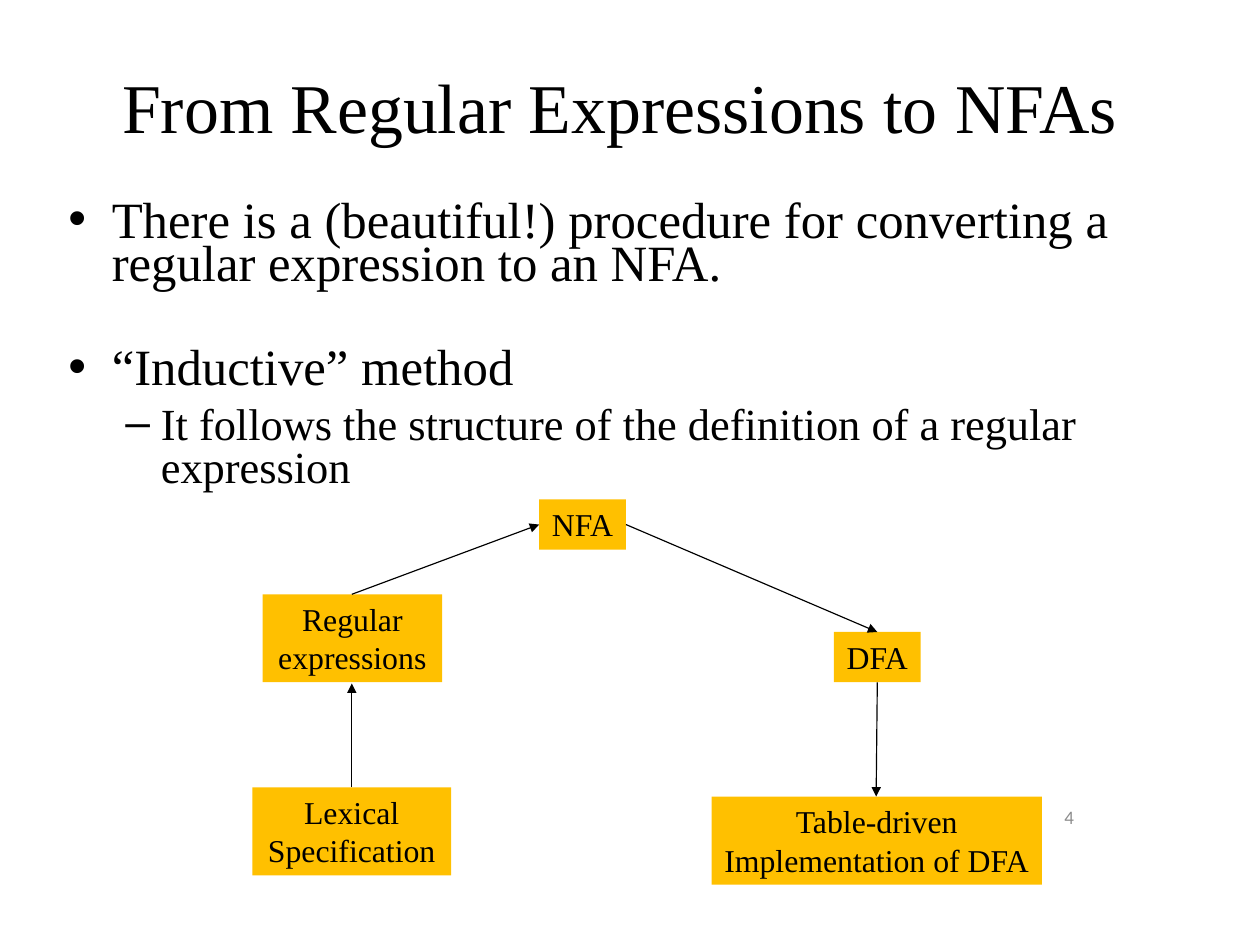
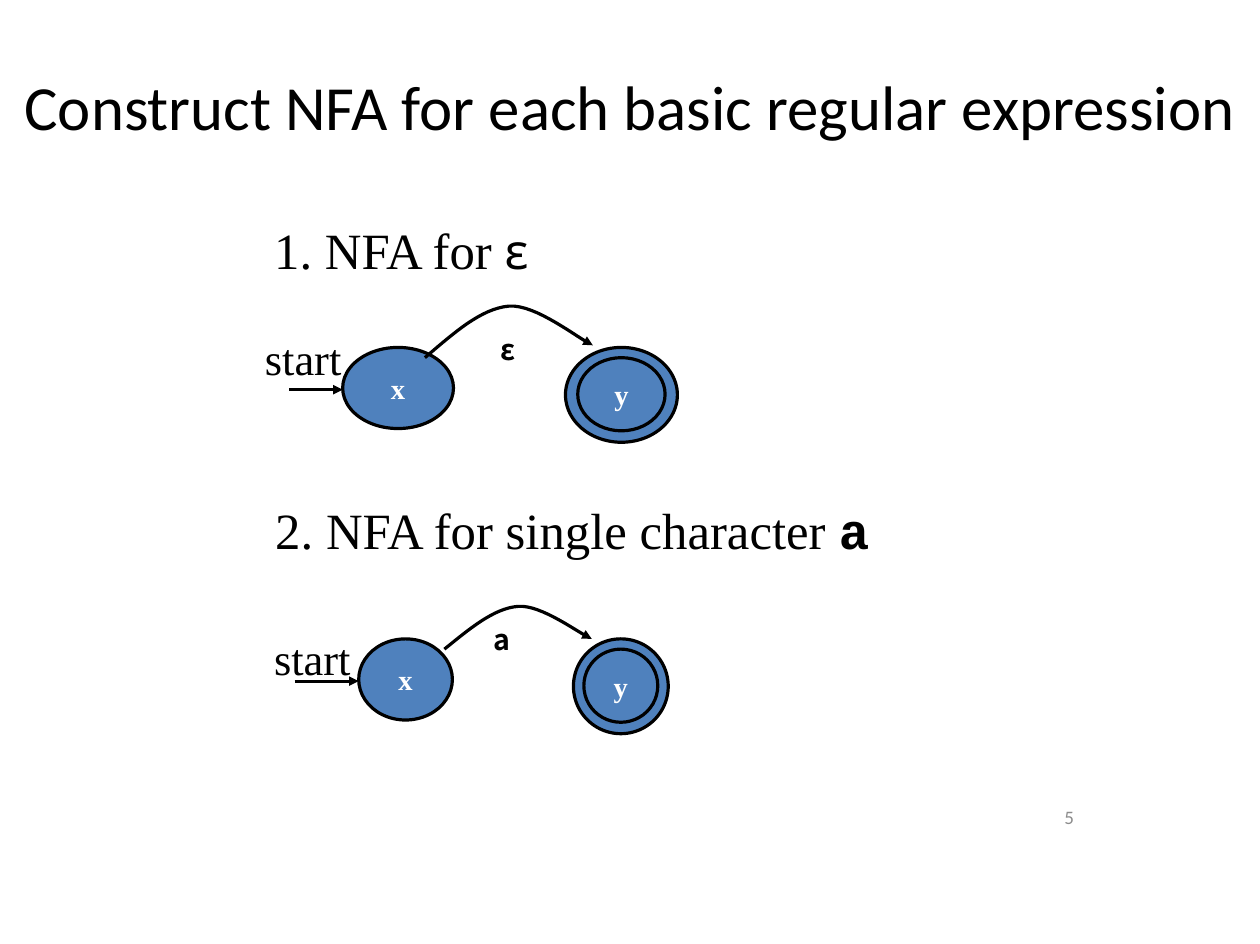
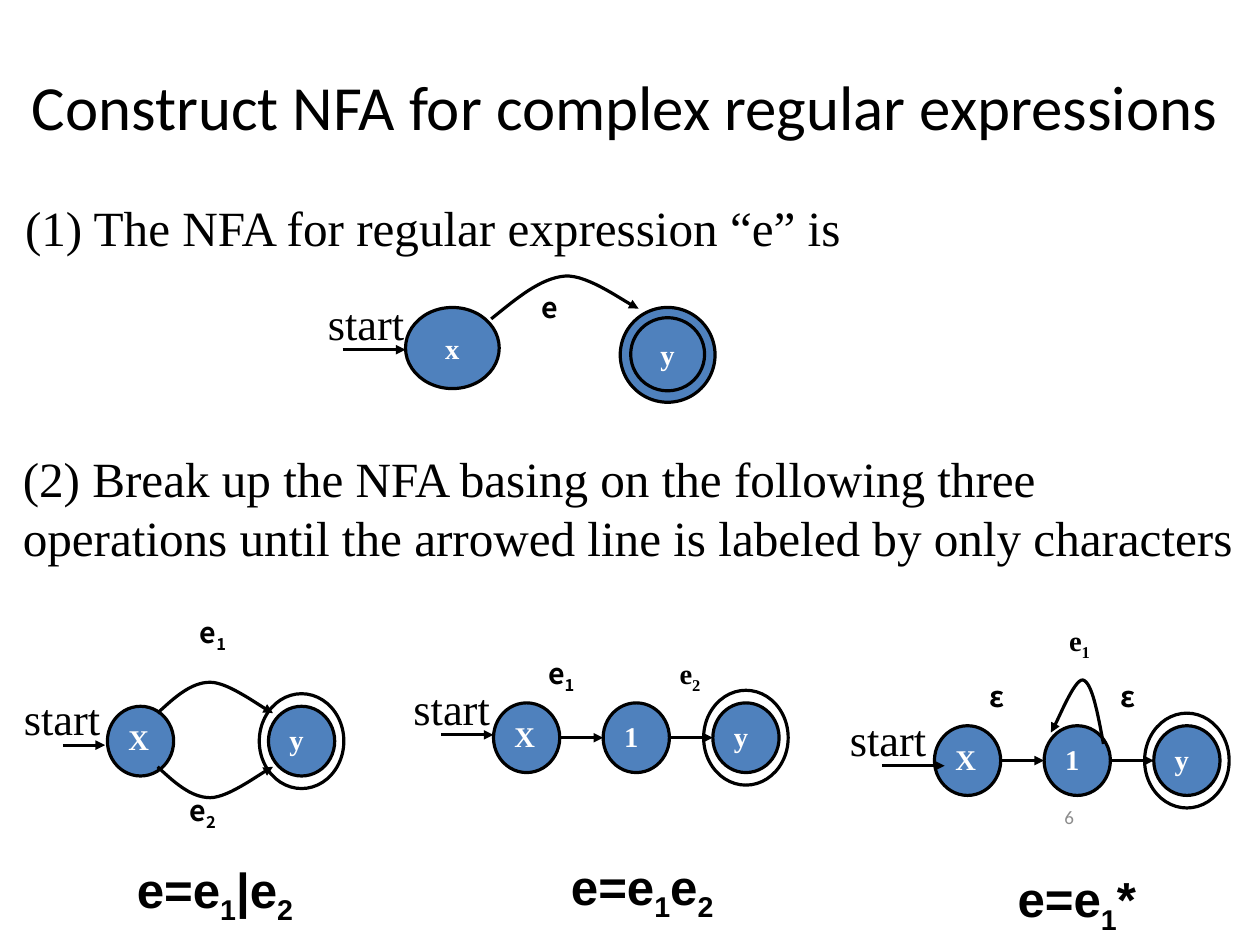
from collections import namedtuple
from dataclasses import dataclass

from lxml.etree import SubElement
from pptx import Presentation
from pptx.dml.color import RGBColor
from pptx.enum.shapes import MSO_CONNECTOR, MSO_SHAPE
from pptx.enum.text import MSO_ANCHOR, PP_ALIGN
from pptx.oxml.ns import qn
from pptx.util import Inches, Pt

Style = namedtuple("Style", "font size bold color", defaults=(False, "000000"))


@dataclass
class Theme:
    ink: str = "000000"
    state_fill: str = "4F81BD"
    box_fill: str = "FFC000"
    serif_title: Style = Style("Times New Roman", 44)
    title: Style = Style("Calibri", 39.6)
    number: Style = Style("Calibri", 12, False, "8C8C8C")
    body: Style = Style("Times New Roman", 32)
    detail: Style = Style("Times New Roman", 28)
    box: Style = Style("Times New Roman", 20)
    point: Style = Style("Times New Roman", 31)
    epsilon: Style = Style("Comic Neue", 31)
    code: Style = Style("Courier New", 32, True)
    state: Style = Style("Times New Roman", 18, True, "FFFFFF")
    label: Style = Style("Noto Sans CJK SC", 18, True)
    serif_label: Style = Style("Times New Roman", 18, True)
    formula: Style = Style("Arial", 31, True)


theme = Theme()


def write(shape, paragraphs, align=PP_ALIGN.LEFT, anchor=MSO_ANCHOR.TOP,
          wrap=True, insets=(0.1, 0.05, 0.1, 0.05)):
    """Fill a shape with paragraphs of (text, style) runs; _ lowers the next character."""
    frame = shape.text_frame
    frame.word_wrap = wrap
    frame.vertical_anchor = anchor
    (frame.margin_left, frame.margin_top,
     frame.margin_right, frame.margin_bottom) = [Inches(inset) for inset in insets]
    for index, runs in enumerate(paragraphs):
        para = frame.add_paragraph() if index else frame.paragraphs[0]
        para.alignment = align
        for text, style in runs:
            first, *others = text.split("_")
            pieces = [(first, False)]
            for other in others:
                pieces += [(other[:1], True), (other[1:], False)]
            for piece, lowered in pieces:
                if not piece:
                    continue
                span = para.add_run()
                span.text = piece
                span.font.name = style.font
                span.font.size = Pt(style.size)
                span.font.bold = style.bold
                span.font.color.rgb = RGBColor.from_string(style.color)
                if lowered:
                    span.font._element.set("baseline", "-25000")
    return frame


def add_arrow(page, points, width=2):
    """Draw a straight arrow for two points, or a chain of Bezier curves for 3n + 1."""
    if len(points) == 2:
        ends = [Inches(value) for point in points for value in point]
        arrow = page.shapes.add_connector(MSO_CONNECTOR.STRAIGHT, *ends)
    else:
        steps = 16
        trail = []
        for first in range(0, len(points) - 1, 3):
            for step in range(1, steps + 1):
                t = step / steps
                weights = ((1 - t) ** 3, 3 * t * (1 - t) ** 2, 3 * t * t * (1 - t), t ** 3)
                trail.append([
                    Inches(sum(w * p[axis] for w, p in zip(weights, points[first:first + 4])))
                    for axis in (0, 1)])
        builder = page.shapes.build_freeform(Inches(points[0][0]), Inches(points[0][1]))
        builder.add_line_segments(trail, close=False)
        arrow = builder.convert_to_shape()
        arrow.fill.background()
    arrow.line.color.rgb = RGBColor.from_string(theme.ink)
    arrow.line.width = Pt(width)
    properties = arrow._element.spPr
    SubElement(properties.find(qn("a:ln")), qn("a:tailEnd"), type="triangle")
    SubElement(properties, qn("a:effectLst"))


deck = Presentation()
deck.slide_width, deck.slide_height = Inches(11.03), Inches(8.26)

# Pages with their titles and numbers
pages = []
for number, title, style, left, width in [
    (4, "From Regular Expressions to NFAs", theme.serif_title, 0.93, 9),
    (5, "Construct NFA for each basic regular expression", theme.title, 0, 11.03),
    (6, "Construct NFA for complex regular expressions", theme.title, 0, 10.94),
]:
    page = deck.slides.add_slide(deck.slide_layouts[6])
    pages.append(page)
    box = page.shapes.add_textbox(Inches(left), Inches(0.3), Inches(width), Inches(1.25))
    write(box, [[(title, style)]], PP_ALIGN.CENTER, MSO_ANCHOR.MIDDLE)
    box = page.shapes.add_textbox(Inches(7.17), Inches(6.95), Inches(2.33), Inches(0.4))
    write(box, [[(str(number), theme.number)]], PP_ALIGN.RIGHT, MSO_ANCHOR.MIDDLE)
overview, basic, complex_page = pages

# Overview: bullets
bullets = [
    ("There is a (beautiful!) procedure for converting a regular expression to an NFA.",
     theme.body, "•", 0.38, 0.38, 0),
    ("“Inductive” method", theme.body, "•", 0.38, 0.38, 39),
    ("It follows the structure of the definition of a regular expression",
     theme.detail, "–", 0.81, 0.31, 6.5),
]
box = overview.shapes.add_textbox(Inches(0.5), Inches(1.75), Inches(9.85), Inches(3.97))
frame = write(box, [[(text, style)] for text, style, *_ in bullets])
for para, (text, style, mark, indent, hanging, gap) in zip(frame.paragraphs, bullets):
    para.line_spacing = Pt(27)
    para.space_before = Pt(gap)
    properties = para._p.get_or_add_pPr()
    properties.set("marL", str(Inches(indent)))
    properties.set("indent", str(-Inches(hanging)))
    SubElement(properties, qn("a:buFont"), typeface="Arial")
    SubElement(properties, qn("a:buChar"), char=mark)

# Overview: steps from specification to implementation
for lines, left, top, width, height in [
    (["Regular", "expressions"], 2.3, 5.2, 1.57, 0.77),
    (["NFA"], 4.72, 4.37, 0.76, 0.44),
    (["DFA"], 7.3, 5.53, 0.76, 0.44),
    (["Lexical", "Specification"], 2.21, 6.89, 1.74, 0.77),
    (["Table-driven", "Implementation of DFA"], 6.23, 6.97, 2.89, 0.77),
]:
    box = overview.shapes.add_shape(
        MSO_SHAPE.RECTANGLE, Inches(left), Inches(top), Inches(width), Inches(height))
    box.shadow.inherit = False
    box.fill.solid()
    box.fill.fore_color.rgb = RGBColor.from_string(theme.box_fill)
    box.line.fill.background()
    write(box, [[(line, theme.box)] for line in lines], PP_ALIGN.CENTER, wrap=False)
for points in [
    [(3.08, 6.89), (3.08, 5.98)],
    [(3.08, 5.2), (4.72, 4.59)],
    [(5.48, 4.59), (7.68, 5.53)],
    [(7.68, 5.97), (7.67, 6.97)],
]:
    add_arrow(overview, points, 0.75)

# Headings of the automata
for page, runs, left, top, width, height in [
    (basic, [("1. NFA for ", theme.body), ("ε", theme.epsilon)], 2.29, 1.85, 3.94, 0.65),
    (basic, [("2. NFA for single character ", theme.body), ("a", theme.code)],
     2.3, 4.3, 6.53, 0.65),
    (complex_page, [("(1) The NFA for regular expression “e” is", theme.point)],
     0.11, 1.67, 10.28, 0.63),
    (complex_page, [("(2) Break up the NFA basing on the following three operations until "
                     "the arrowed line is labeled by only characters", theme.point)],
     0.09, 3.86, 10.84, 1.15),
]:
    box = page.shapes.add_textbox(Inches(left), Inches(top), Inches(width), Inches(height))
    write(box, [runs], insets=(0.11, 0.06, 0.11, 0.06))

# Each state: page, name, left, top, width, height, centred name
# Each ring: page, left, top, width, height, filled
states, rings, arrows, labels, starts = [], [], [], [], []

# Automata with one curved arrow
arc = [(0, 0), (0.17, -0.45), (0.33, -0.91), (0.5, -0.96), (0.66, -1), (0.91, -0.36), (1, -0.23)]
for page, symbol, left, top, width, ring_left, ring_width, label_at, arc_at, arc_size, start in [
    (basic, "ε", 3, 3.04, 0.97, 4.95, 0.98, (4.28, 2.86), (3.72, 3.13), (1.47, 0.47),
     (2.32, 3.09, 2.53)),
    (basic, "a", 3.14, 5.59, 0.82, 5.02, 0.83, (4.22, 5.39), (3.89, 5.68), (1.29, 0.39),
     (2.4, 5.71, 2.58)),
    (complex_page, "e", 3.55, 2.69, 0.82, 5.43, 0.83, (4.64, 2.49), (4.3, 2.79), (1.29, 0.39),
     (2.87, 2.78, 3)),
]:
    rim = ring_width * 0.11
    states.append((page, "x", left, top, width, 0.71, True))
    rings.append((page, ring_left, top, ring_width, 0.83, True))
    states.append((page, "y", ring_left + rim, top + 0.09, ring_width - 2 * rim, 0.64, True))
    arrows.append((page, [(arc_at[0] + x * arc_size[0], arc_at[1] + y * arc_size[1])
                          for x, y in arc]))
    start_left, start_top, tail = start
    starts.append((page, start_left, start_top))
    arrows.append((page, [(tail, top + 0.37), (left, top + 0.37)]))
    labels.append((page, symbol, theme.label, *label_at))

# Automata for alternation, concatenation and repetition
state_width, state_height, pitch = 0.58, 0.61, 0.96
for names, left, top, last_step, start_at, start_arrow in [
    ("Xy", 0.94, 6.18, 1.41, (0.21, 6.24), [(0.55, 6.52), (0.92, 6.52)]),
    ("X1y", 4.32, 6.15, pitch, (3.62, 6.15), [(3.86, 6.43), (4.32, 6.43)]),
    ("X1y", 8.18, 6.35, pitch, (7.44, 6.42), [(7.72, 6.7), (8.27, 6.7)]),
]:
    for index, name in enumerate(names):
        x = left + index * last_step
        states.append((complex_page, name, x, top, state_width, state_height, False))
        if index and len(names) == 3:
            middle = top + state_height / 2
            arrows.append((complex_page, [(x - pitch + state_width, middle), (x, middle)]))
    rings.append((complex_page, x - 0.08, top - 0.11, 0.74, 0.83, False))
    starts.append((complex_page, *start_at))
    arrows.append((complex_page, start_arrow))

upper_arc = [(1.38, 6.24), (1.52, 6.11), (1.67, 5.97), (1.84, 5.97),
             (2.01, 5.97), (2.3, 6.2), (2.39, 6.24)]
lower_arc = [(x, 12.95 - y) for x, y in upper_arc]
loop = [(9.66, 6.51), (9.61, 6.24), (9.56, 5.97), (9.48, 5.95),
        (9.4, 5.94), (9.25, 6.34), (9.2, 6.41)]
arrows += [(complex_page, curve) for curve in (upper_arc, lower_arc, loop)]
labels += [(complex_page, *label) for label in [
    ("e_1", theme.label, 1.65, 5.33),
    ("e_2", theme.label, 1.56, 6.89),
    ("e_1", theme.label, 4.7, 5.69),
    ("e_2", theme.serif_label, 5.85, 5.69),
    ("ε", theme.label, 8.56, 5.89),
    ("ε", theme.label, 9.71, 5.89),
    ("e_1", theme.serif_label, 9.26, 5.4),
]]

# Draw rings, then states, arrows and text
ovals = [(page, None, *place, filled, True) for page, *place, filled in rings]
ovals += [(page, name, *place, True, centred) for page, name, *place, centred in states]
for page, name, left, top, width, height, filled, centred in ovals:
    oval = page.shapes.add_shape(
        MSO_SHAPE.OVAL, Inches(left), Inches(top), Inches(width), Inches(height))
    oval.shadow.inherit = False
    oval.line.color.rgb = RGBColor.from_string(theme.ink)
    oval.line.width = Pt(2)
    if filled:
        oval.fill.solid()
        oval.fill.fore_color.rgb = RGBColor.from_string(theme.state_fill)
    else:
        oval.fill.background()
    if name and centred:
        write(oval, [[(name, theme.state)]], PP_ALIGN.CENTER, MSO_ANCHOR.MIDDLE, wrap=False)
    elif name:
        write(oval, [[(name, theme.state)]])

for page, points in arrows:
    add_arrow(page, points)

for page, text, style, left, top in labels:
    box = page.shapes.add_textbox(Inches(left), Inches(top), Inches(0.58), Inches(0.46))
    write(box, [[(text, style)]])

for page, left, top in starts:
    box = page.shapes.add_textbox(Inches(left), Inches(top), Inches(0.67), Inches(0.33))
    frame = write(box, [[("start", theme.detail)]], wrap=False, insets=(0, 0, 0, 0.05))
    frame.paragraphs[0].line_spacing = Pt(20)

for text, left, top, width in [
    ("e=e_1|e_2", 1.1, 7.47, 1.64),
    ("e=e_1e_2", 4.9, 7.44, 1.52),
    ("e=e_1*", 8.81, 7.55, 1.28),
]:
    box = complex_page.shapes.add_textbox(Inches(left), Inches(top), Inches(width), Inches(0.63))
    write(box, [[(text, theme.formula)]], wrap=False)

deck.save("out.pptx")
